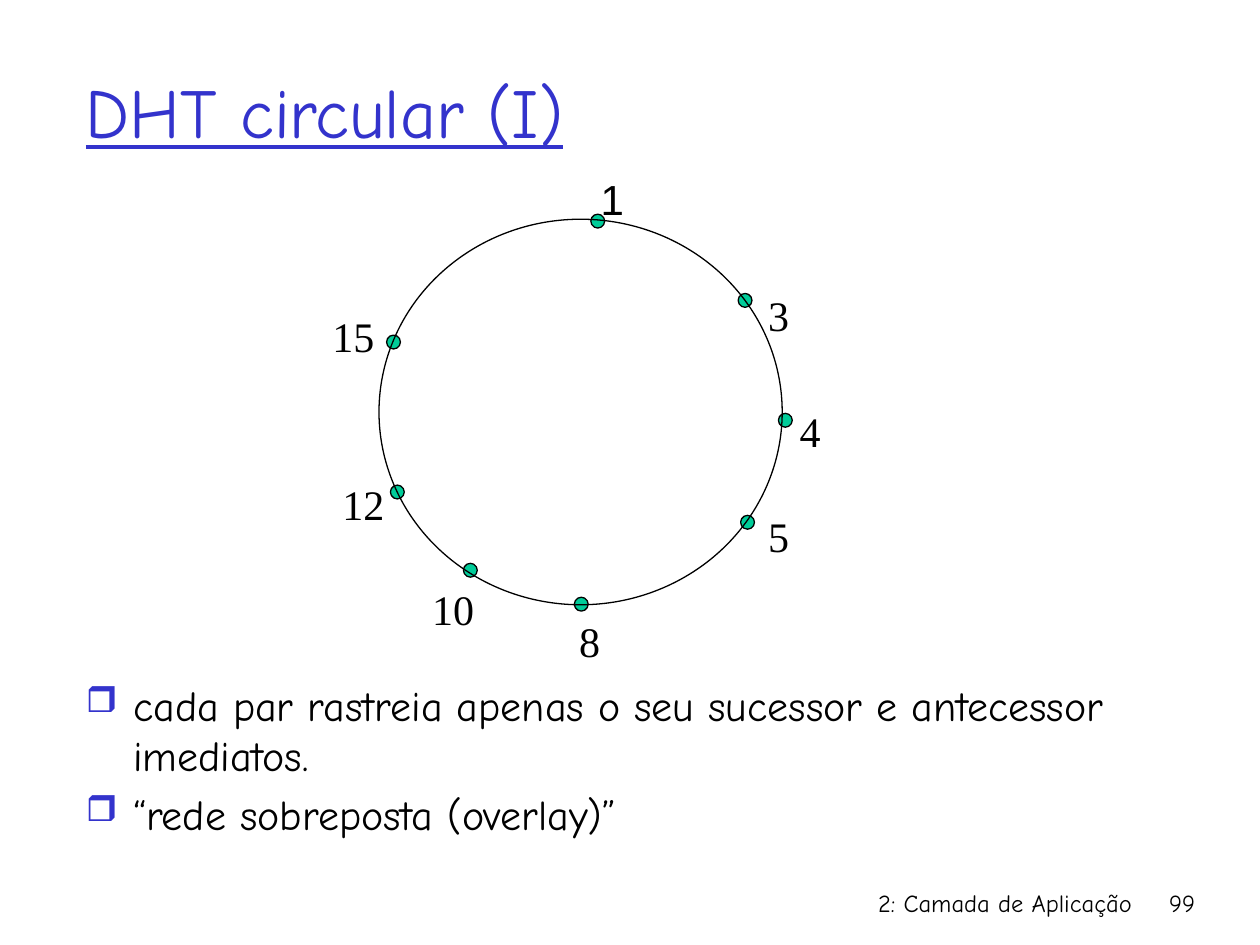
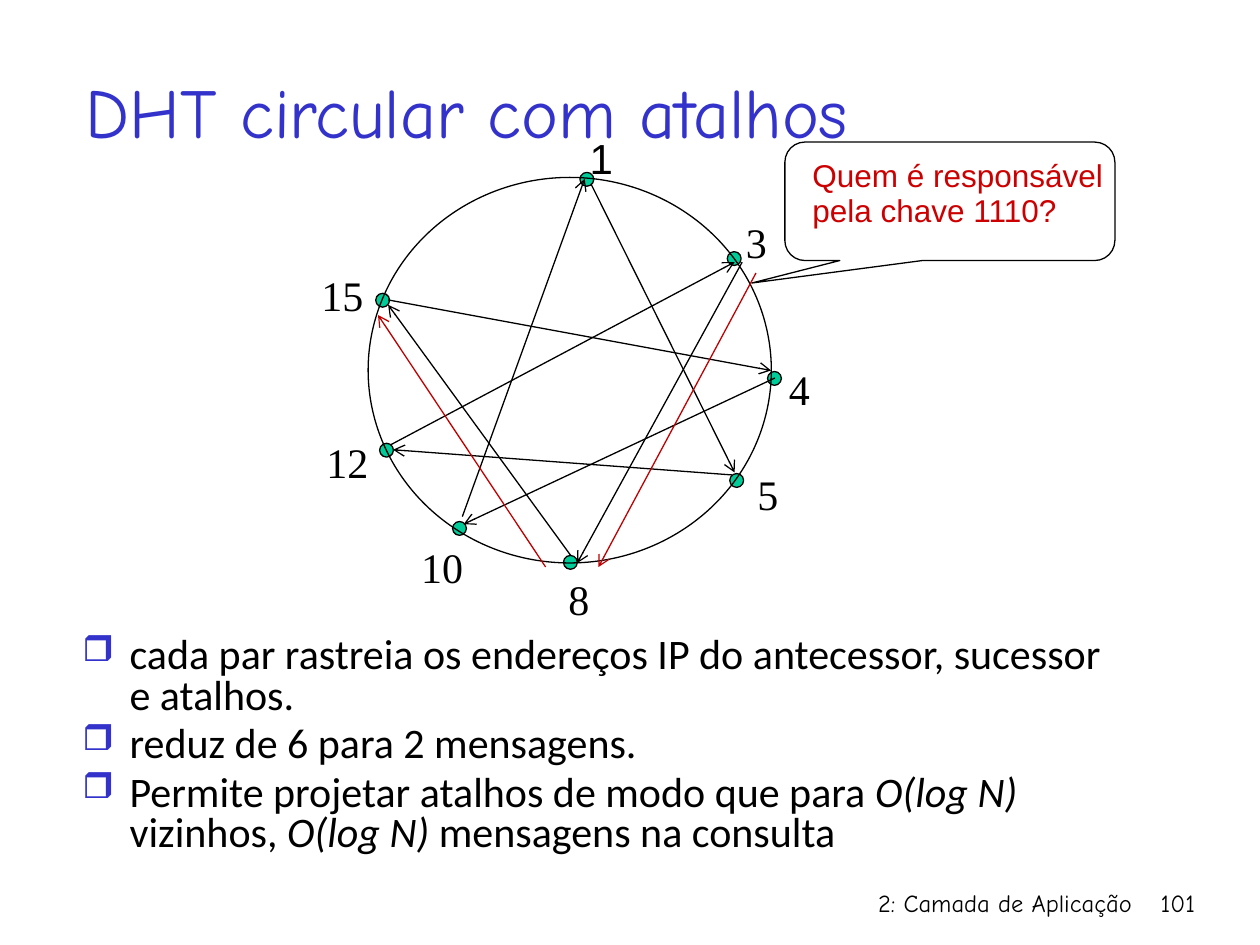
from dataclasses import dataclass

from lxml.etree import SubElement
from pptx import Presentation
from pptx.dml.color import RGBColor
from pptx.enum.shapes import MSO_CONNECTOR, MSO_SHAPE
from pptx.enum.text import MSO_ANCHOR, MSO_AUTO_SIZE, PP_ALIGN
from pptx.oxml.ns import qn
from pptx.util import Pt


@dataclass(frozen=True)
class Theme:
    title_blue: RGBColor = RGBColor(0x33, 0x33, 0xCC)
    black: RGBColor = RGBColor(0, 0, 0)
    peer_green: RGBColor = RGBColor(0x00, 0xCC, 0x99)
    query_red: RGBColor = RGBColor(0xC0, 0, 0)
    question_red: RGBColor = RGBColor(0xCC, 0, 0)
    main_font: str = "Comic Neue"
    plain_font: str = "Calibri"
    number_font: str = "Times New Roman"
    sans_font: str = "Arial"
    title_size: int = 40
    body_size: int = 24
    question_size: int = 18
    footer_size: int = 14
    line_width: float = 0.75


THEME = Theme()
RING_WIDTH, RING_HEIGHT = 230.4, 220.3
PEER_SIZE = 7.9

# Peer number: (dot left, dot top, label left, label top), measured from the ring's corner
PEERS = {
    1: (121, -2.9, 119.5, -29.4),
    3: (205.2, 42.4, 215.3, 36.7),
    4: (228.2, 110.9, 233.3, 103),
    5: (206.6, 169.2, 215.3, 162.7),
    8: (111.6, 216, 107.3, 222.7),
    10: (48.2, 196.6, 23.2, 204.6),
    12: (6.5, 151.9, -28, 144.6),
    15: (4.3, 66.2, -33.8, 48.8),
}

SHORTCUTS = [
    (442.8, 216, 265, 299.5),
    (418.3, 271.4, 224.6, 257),
    (326.2, 317.5, 221.8, 174.2),
    (264.2, 295.2, 334.1, 102.2),
    (223.2, 254.2, 419.8, 149.8),
    (221.8, 171.4, 440.6, 211.7),
    (337.7, 105.1, 419.8, 270),
    (424.1, 149.8, 329.8, 321.8),
]
QUERY_HOPS = [(432, 156, 342, 324), (311.8, 324, 216, 180)]


def set_attributes(target, values):
    for name, value in values.items():
        setattr(target, name, value)


def points(*lengths):
    return [Pt(length) for length in lengths]


def font_format(name, size, **extra):
    return {"name": name, "size": Pt(size), **extra}


def add_run(paragraph, text, font, color=THEME.black):
    run = paragraph.add_run()
    run.text = text
    set_attributes(run.font, font)
    run.font.color.rgb = color


def add_frame(slide, box, **frame_format):
    frame = slide.shapes.add_textbox(*points(*box)).text_frame
    set_attributes(frame, {"word_wrap": True, **frame_format})
    return frame


def add_text(slide, box, text, font, color=THEME.black, paragraph_format=None, **frame_format):
    paragraph = add_frame(slide, box, **frame_format).paragraphs[0]
    set_attributes(paragraph, paragraph_format or {})
    add_run(paragraph, text, font, color)


def add_title(slide, text, underline=False):
    font = font_format(THEME.main_font, THEME.title_size, underline=underline)
    add_text(slide, (42, 18, 612, 90), text, font, THEME.title_blue,
             vertical_anchor=MSO_ANCHOR.MIDDLE)


def add_footer(slide, number):
    font = font_format(THEME.main_font, THEME.footer_size)
    for left, width, text in ((426, 228, "2: Camada de Aplicação"), (654, 36, str(number))):
        add_text(slide, (left, 504, width, 36), text, font,
                 paragraph_format={"alignment": PP_ALIGN.RIGHT})


def add_bullet(paragraph):
    properties = paragraph._p.get_or_add_pPr()
    properties.set("marL", str(Pt(27)))
    properties.set("indent", str(-Pt(27)))
    color = SubElement(properties, qn("a:buClr"))
    SubElement(color, qn("a:srgbClr"), val=str(THEME.title_blue))
    SubElement(properties, qn("a:buSzPct"), val="85000")
    SubElement(properties, qn("a:buChar"), char="❒")


def add_bullets(slide, box, items, font_name, line_spacing=1.0):
    """Each item is a list of runs, in which every second run is italic."""
    frame = add_frame(slide, box)
    for index, runs in enumerate(items):
        paragraph = frame.add_paragraph() if index else frame.paragraphs[0]
        add_bullet(paragraph)
        set_attributes(paragraph, {"line_spacing": line_spacing,
                                   "space_before": Pt(4.8 if index else 0)})
        for position, text in enumerate(runs):
            font = font_format(font_name, THEME.body_size, italic=position % 2 == 1)
            add_run(paragraph, text, font)


def add_outline(slide, kind, box, fill=None):
    shape = slide.shapes.add_shape(kind, *points(*box))
    shape.shadow.inherit = False
    if fill is None:
        shape.fill.background()
    else:
        shape.fill.solid()
        shape.fill.fore_color.rgb = fill
    shape.line.color.rgb = THEME.black
    shape.line.width = Pt(THEME.line_width)
    return shape


def add_arrow(slide, ends, color):
    connector = slide.shapes.add_connector(MSO_CONNECTOR.STRAIGHT, *points(*ends))
    connector.line.color.rgb = color
    connector.line.width = Pt(THEME.line_width)
    SubElement(connector.line._get_or_add_ln(), qn("a:tailEnd"), type="arrow")
    SubElement(connector._element.spPr, qn("a:effectLst"))


def add_peer_ring(slide, left, top, moved_labels=None):
    labels = {peer: place[2:] for peer, place in PEERS.items()} | (moved_labels or {})
    for x, y, *_ in PEERS.values():
        add_outline(slide, MSO_SHAPE.OVAL, (left + x, top + y, PEER_SIZE, PEER_SIZE),
                    THEME.peer_green)
    add_outline(slide, MSO_SHAPE.OVAL, (left, top, RING_WIDTH, RING_HEIGHT))
    for peer, (x, y) in labels.items():
        font_name = THEME.sans_font if peer == 1 else THEME.number_font
        width = 28 if peer < 10 else 42
        add_text(slide, (left + x, top + y, width, 36), str(peer),
                 font_format(font_name, THEME.body_size),
                 word_wrap=False, auto_size=MSO_AUTO_SIZE.SHAPE_TO_FIT_TEXT)


def add_question(slide, text):
    callout = add_outline(slide, MSO_SHAPE.ROUNDED_RECTANGULAR_CALLOUT,
                          (448.5, 81.2, 188.6, 67.7))
    for index, value in enumerate((-0.6, 0.69, 0.17)):
        callout.adjustments[index] = value
    add_text(slide, (457.2, 87.1, 187.2, 47.5), text,
             font_format(THEME.sans_font, THEME.question_size), THEME.question_red,
             {"line_spacing": Pt(20)})


def build_ring_slide(slide):
    add_title(slide, "DHT circular (I)", underline=True)
    add_bullets(slide, (42, 384.5, 612, 107.3), [
        ["cada par rastreia apenas o seu sucessor e antecessor imediatos."],
        ["“rede sobreposta (overlay)”"],
    ], THEME.main_font)
    add_peer_ring(slide, 216.6, 125.3)
    add_footer(slide, 99)


def build_shortcut_slide(slide):
    add_title(slide, "DHT circular com atalhos")
    add_bullets(slide, (40, 360.7, 612, 138.2), [
        ["cada par rastreia os endereços IP do antecessor, sucessor e atalhos."],
        ["reduz de 6 para 2 mensagens."],
        ["Permite projetar atalhos de modo que para ", "O(log N) ", "vizinhos, ",
         "O(log N) ", "mensagens na consulta"],
    ], THEME.plain_font, 0.8)
    add_peer_ring(slide, 210.4, 101.4, {3: (208.8, 18.7), 12: (-31, 144.6)})
    for ends in SHORTCUTS:
        add_arrow(slide, ends, THEME.black)
    for ends in QUERY_HOPS:
        add_arrow(slide, ends, THEME.query_red)
    add_question(slide, "Quem é responsável pela chave 1110?")
    add_footer(slide, 101)


def main():
    presentation = Presentation()
    set_attributes(presentation, {"slide_width": Pt(720), "slide_height": Pt(540)})
    blank_layout = presentation.slide_layouts[6]
    for build in (build_ring_slide, build_shortcut_slide):
        build(presentation.slides.add_slide(blank_layout))
    presentation.save("out.pptx")


if __name__ == "__main__":
    main()
